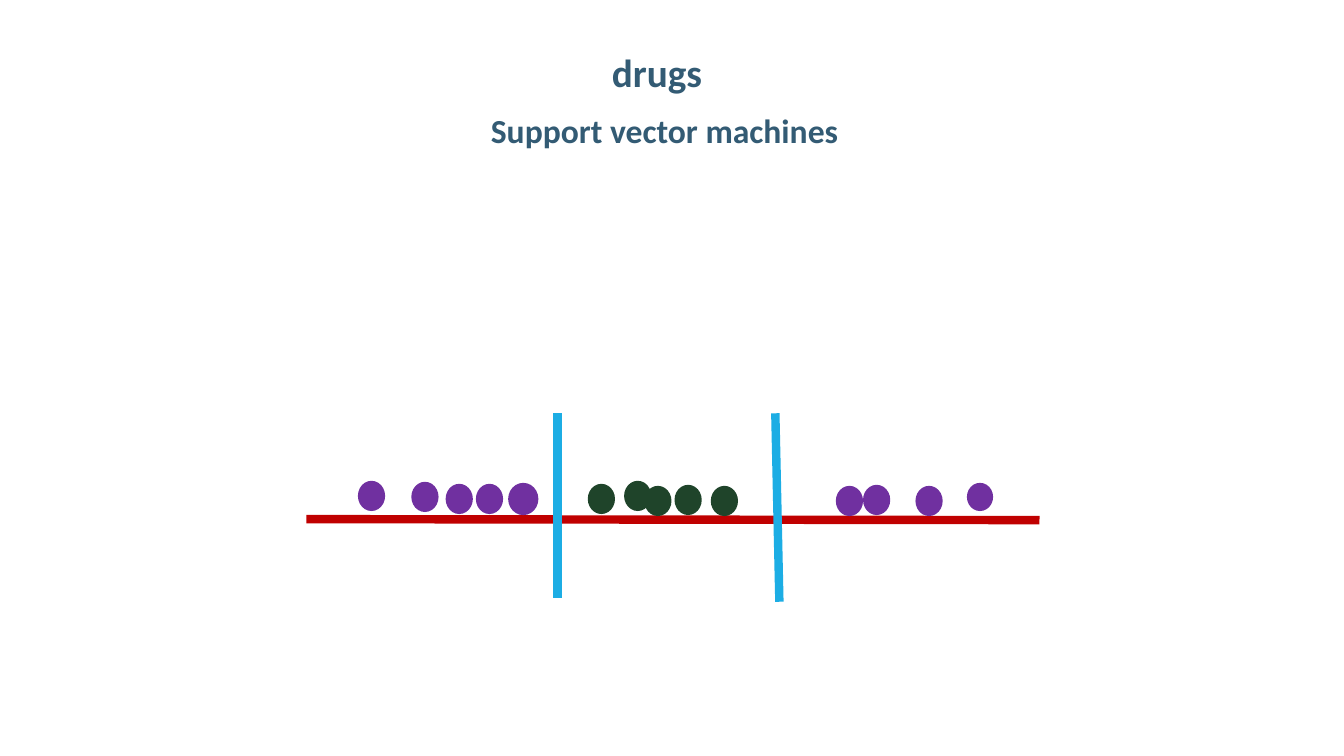
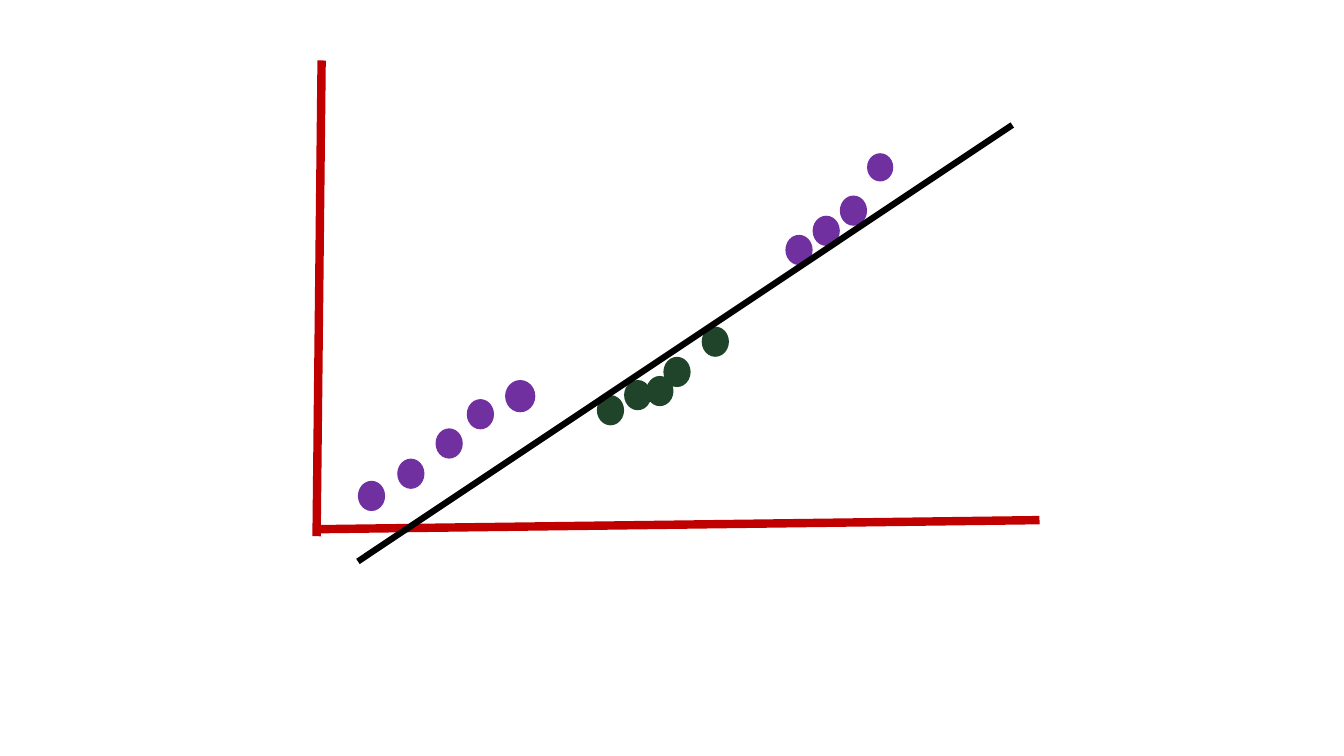
import pptx
import pptx.dml.color
import pptx.enum.shapes
import pptx.enum.text
import pptx.oxml.ns
import pptx.util
from lxml import etree

PX = 9144  # EMU per px, 100 px to the inch
FONT = "Calibri"
COLORS = {
    "background": "FFFFFF",
    "heading": "335B74",
    "axis": "C00000",
    "boundary": "1CADE4",
    "separator": "000000",
    "outer": "7030A0",
    "inner": "1F442A",
}
DOT = (27, 30)
LARGE_DOT = (30, 32)
SMALL_DOT = (26, 28)


def px(length):
    return pptx.util.Emu(length * PX)


def color(name):
    return pptx.dml.color.RGBColor.from_string(COLORS[name])


def add_slide(deck):
    slide = deck.slides.add_slide(deck.slide_layouts[6])
    slide.background.fill.solid()
    slide.background.fill.fore_color.rgb = color("background")
    return slide


def add_line(slide, start, end, color_name, weight=6):
    line = slide.shapes.add_connector(
        pptx.enum.shapes.MSO_CONNECTOR.STRAIGHT, *map(px, start + end))
    line.line.color.rgb = color(color_name)
    line.line.width = pptx.util.Pt(weight)
    etree.SubElement(line._element.spPr, pptx.oxml.ns.qn("a:effectLst"))


def add_dots(slide, corners, color_name, size=DOT):
    """Draw one dot for each (left, top) corner."""
    for corner in corners:
        dot = slide.shapes.add_shape(
            pptx.enum.shapes.MSO_SHAPE.OVAL, *map(px, corner + size))
        dot.shadow.inherit = False
        dot.fill.solid()
        dot.fill.fore_color.rgb = color(color_name)
        dot.line.fill.background()


def add_heading(slide, text, left, top, width, height, size):
    box = slide.shapes.add_textbox(*map(px, (left, top, width, height)))
    frame = box.text_frame
    frame.word_wrap = True
    frame.auto_size = pptx.enum.text.MSO_AUTO_SIZE.SHAPE_TO_FIT_TEXT
    frame.text = text
    font = frame.paragraphs[0].runs[0].font
    font.name = FONT
    font.size = pptx.util.Pt(size)
    font.bold = True
    font.color.rgb = color("heading")


def add_samples(slide, outer, inner, large, small):
    """Draw both classes; one outer dot is larger and one smaller."""
    add_dots(slide, outer, "outer")
    add_dots(slide, inner, "inner")
    add_dots(slide, [large], "outer", LARGE_DOT)
    add_dots(slide, [small], "outer", SMALL_DOT)


def build_one_dimension(deck):
    slide = add_slide(deck)
    add_line(slide, (304, 515), (1031, 516), "axis")
    add_samples(
        slide,
        outer=[(355, 477), (408, 478), (442, 480), (472, 480),
               (829, 482), (856, 481), (908, 482)],
        inner=[(583, 480), (619, 477), (639, 482), (669, 481), (705, 482)],
        large=(504, 479),
        small=(959, 479))
    add_heading(slide, "drugs", 597, 43, 141, 57, 28)
    add_heading(slide, "Support vector machines", 477, 104, 505, 50, 24)
    add_line(slide, (553, 410), (553, 593), "boundary")
    add_line(slide, (769, 410), (773, 597), "boundary")


def build_two_dimensions(deck):
    slide = add_slide(deck)
    add_line(slide, (314, 525), (1031, 516), "axis")
    add_samples(
        slide,
        outer=[(355, 477), (394, 455), (432, 425), (463, 396),
               (779, 233), (806, 214), (833, 194)],
        inner=[(592, 392), (619, 377), (641, 373), (658, 354), (696, 324)],
        large=(501, 377),
        small=(860, 152))
    add_line(slide, (355, 557), (1004, 124), "separator", 4.5)
    add_line(slide, (314, 532), (319, 60), "axis")


def main():
    deck = pptx.Presentation()
    deck.slide_width = px(1333)
    deck.slide_height = px(750)
    build_one_dimension(deck)
    build_two_dimensions(deck)
    deck.save("out.pptx")


if __name__ == "__main__":
    main()
